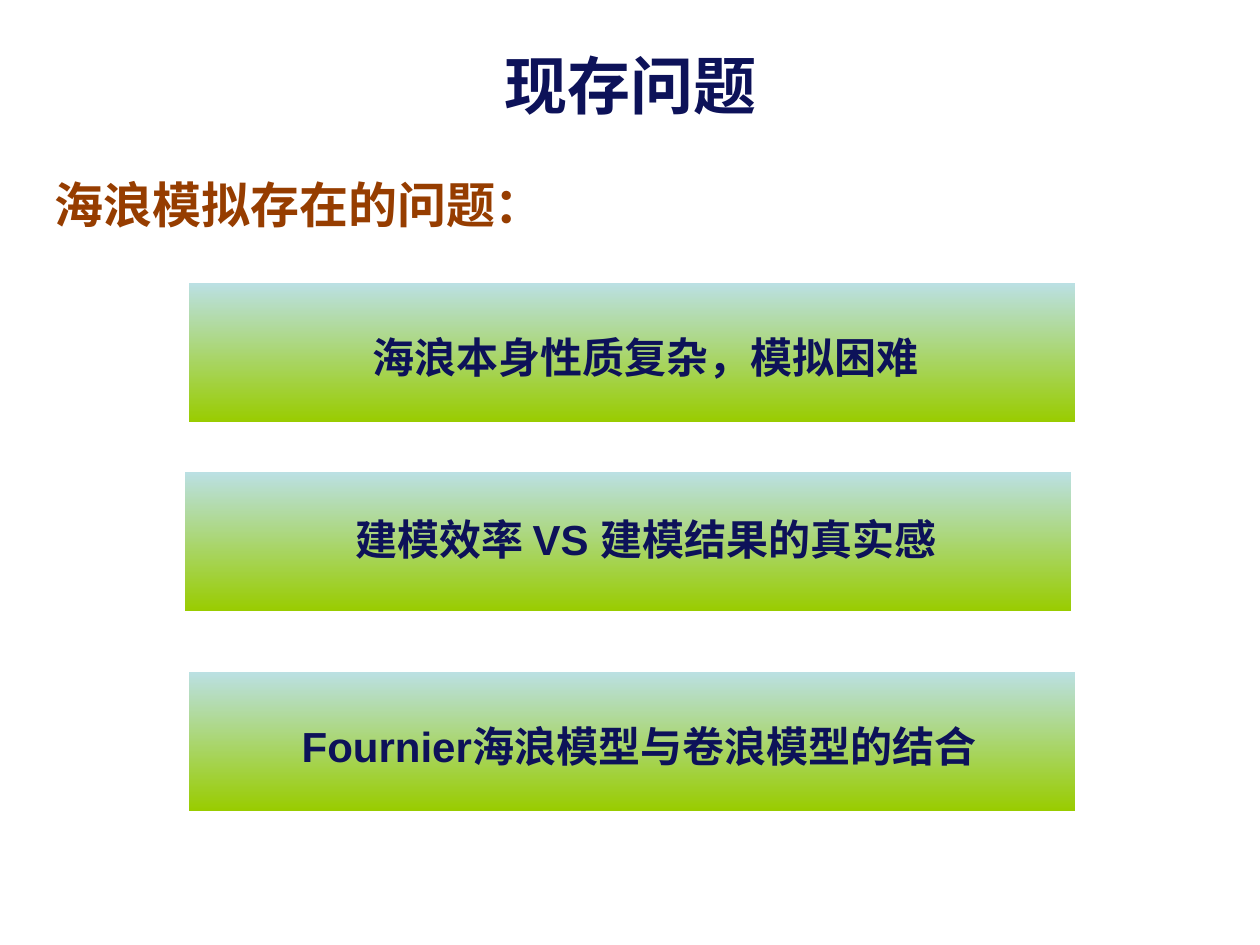
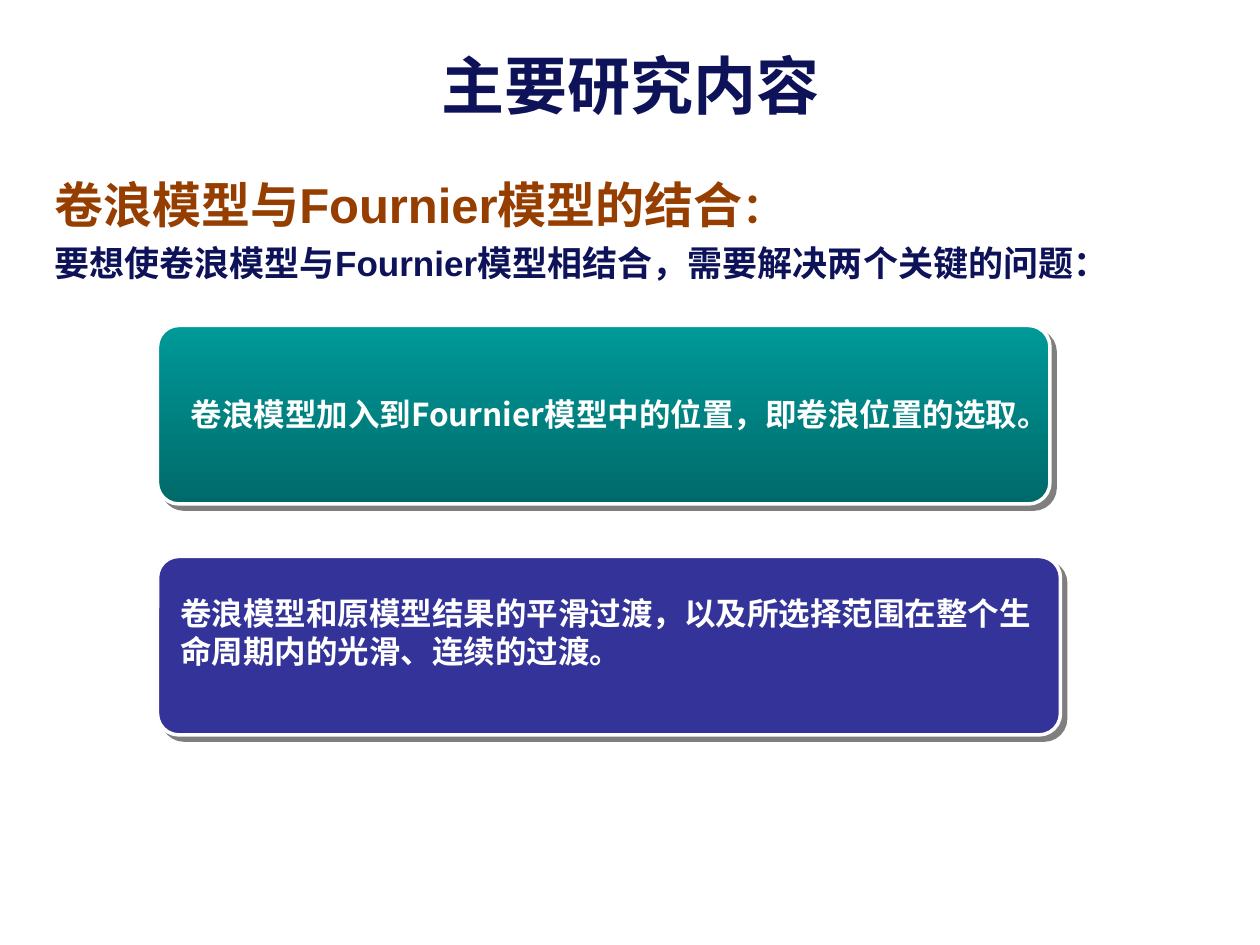
import dataclasses

import pptx
import pptx.dml.color
import pptx.enum.shapes
import pptx.enum.text
import pptx.oxml
import pptx.oxml.ns
import pptx.util
from lxml import etree


@dataclasses.dataclass(frozen=True)
class Theme:
    navy: str = "0D1259"
    brown: str = "963D00"
    white: str = "FFFFFF"
    edge: str = "FEFEFE"
    green: tuple = ("BBE0E3", "99CC00")
    teal: tuple = ("009999", "006A6A")
    indigo: tuple = ("333399",)
    latin: str = "Arial"
    cjk: str = "Noto Sans CJK SC"
    title: int = 36
    head: int = 28
    band: int = 24
    lead: int = 20
    card: int = 18


T = Theme()
qn = pptx.oxml.ns.qn
rgb = pptx.dml.color.RGBColor.from_string
ALIGN = pptx.enum.text.PP_ALIGN
SHAPE = pptx.enum.shapes.MSO_SHAPE

prs = pptx.Presentation()
prs.slide_width = pptx.util.Inches(10)
prs.slide_height = pptx.util.Inches(7.5)
U = prs.slide_width / 120  # grid of 120 columns by 90 rows


def add_text(p, text, size, color=T.navy, font=T.latin, align=ALIGN.LEFT, before=0):
    """Append a bold run to a paragraph without a bullet."""
    p.alignment = align
    p.space_before = pptx.util.Pt(before)
    pPr = p._p.get_or_add_pPr()
    pPr.set("marL", "0")
    pPr.set("indent", "0")
    if pPr.find(qn("a:buNone")) is None:
        etree.SubElement(pPr, qn("a:buNone"))
    r = p.add_run()
    r.text = text
    r.font.size = pptx.util.Pt(size)
    r.font.bold = True
    r.font.name = font
    r.font.color.rgb = rgb(color)
    etree.SubElement(r._r.get_or_add_rPr(), qn("a:ea")).set("typeface", T.cjk)


def place(sp, *cells):
    """Set left, top, width and height in grid cells; ready any text frame."""
    sp.left, sp.top, sp.width, sp.height = (round(c * U) for c in cells)
    tf = sp.text_frame
    tf.word_wrap = True
    tf.auto_size = pptx.enum.text.MSO_AUTO_SIZE.NONE
    return tf


# Titles and body text: each body line is a list of (text, size, colour) runs
slides = [
    ("现存问题", [(7, [("海浪模拟存在的问题：", T.head, T.brown)])]),
    ("主要研究内容", [
        (6, [("卷浪模型与Fournier模型的结合", T.head, T.brown),
             ("：", T.band, T.brown)]),
        (5, [("要想使卷浪模型与Fournier模型相结合，需要解决两个关键的问题：",
              T.lead, T.navy)]),
    ]),
]
for title, lines in slides:
    s = prs.slides.add_slide(prs.slide_layouts[1])
    tf = place(s.shapes.title, 10, 1, 100, 14)
    tf.vertical_anchor = pptx.enum.text.MSO_ANCHOR.MIDDLE
    add_text(tf.paragraphs[0], title, T.title, align=ALIGN.CENTER)
    tf = place(s.placeholders[1], 4, 16, 113, 66)
    for i, (before, runs) in enumerate(lines):
        p = tf.add_paragraph() if i else tf.paragraphs[0]
        for text, size, color in runs:
            add_text(p, text, size, color, before=before)

# Panels: slide, preset, cells, fill, caption, caption cells
panels = [
    (0, SHAPE.RECTANGLE, (18, 27, 84.4, 13.2), T.green,
     "海浪本身性质复杂，模拟困难", (30.2, 31, 62.6, 6)),
    (0, SHAPE.RECTANGLE, (17.6, 45, 84.4, 13.2), T.green,
     "建模效率 VS 建模结果的真实感", (28, 48.3, 67, 6)),
    (0, SHAPE.RECTANGLE, (18, 64, 84.4, 13.2), T.green,
     "Fournier海浪模型与卷浪模型的结合", (22.7, 68, 76.3, 6)),
    (1, SHAPE.ROUNDED_RECTANGLE, (15, 31, 85, 17), T.teal,
     "卷浪模型加入到Fournier模型中的位置，即卷浪位置的选取。", (17, 37, 87, 4.8)),
    (1, SHAPE.ROUNDED_RECTANGLE, (15, 53, 86, 17), T.indigo,
     "卷浪模型和原模型结果的平滑过渡，以及所选择范围在整个生命周期内的光滑、连续的过渡。",
     (16, 56, 84, 8.4)),
]
for index, preset, cells, colors, caption, caption_cells in panels:
    s = prs.slides[index]
    sp = s.shapes.add_shape(preset, 0, 0, 0, 0)
    place(sp, *cells)
    sp.shadow.inherit = False
    if len(colors) > 1:
        sp.fill.gradient()
        sp.fill.gradient_angle = 270
        for stop, color in zip(sp.fill.gradient_stops, colors):
            stop.color.rgb = rgb(color)
    else:
        sp.fill.solid()
        sp.fill.fore_color.rgb = rgb(colors[0])

    # Rounded cards have a pale edge and a hard shadow
    is_card = preset == SHAPE.ROUNDED_RECTANGLE
    if is_card:
        sp.adjustments[0] = 0.12
        sp.line.color.rgb = rgb(T.edge)
        sp.line.width = pptx.util.Pt(2)
        effects = sp._element.spPr.find(qn("a:effectLst"))
        effects.append(pptx.oxml.parse_xml(
            f'<a:outerShdw {pptx.oxml.ns.nsdecls("a")} dist="{pptx.util.Pt(4.2)}" '
            'dir="2700000" algn="ctr" rotWithShape="0"><a:srgbClr val="000000">'
            '<a:alpha val="50000"/></a:srgbClr></a:outerShdw>'))
    else:
        sp.line.fill.background()

    # Caption over the panel
    tf = place(s.shapes.add_textbox(0, 0, 0, 0), *caption_cells)
    if is_card:
        add_text(tf.paragraphs[0], caption, T.card, T.white, T.cjk)
    else:
        add_text(tf.paragraphs[0], caption, T.band, align=ALIGN.CENTER)

prs.save("out.pptx")
